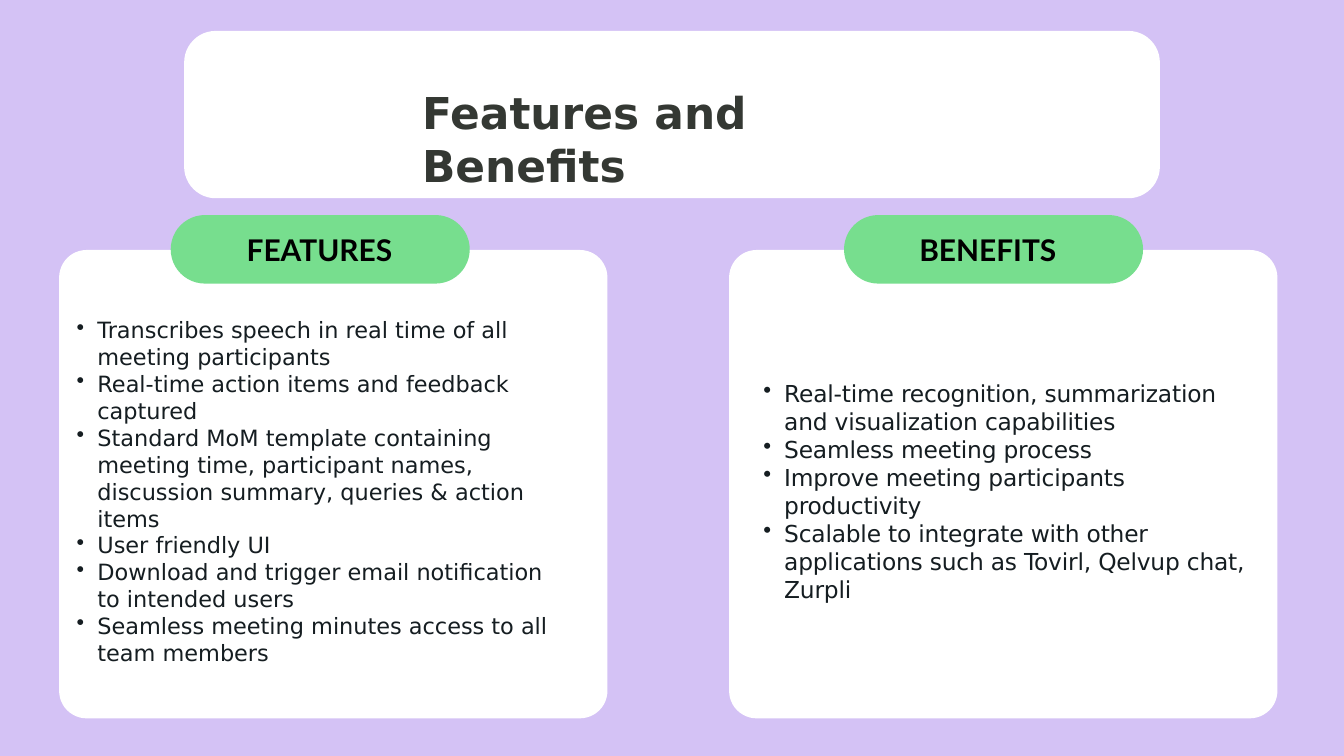
from pptx import Presentation
from pptx.dml.color import RGBColor
from pptx.enum import shapes, text
from pptx.oxml import parse_xml
from pptx.oxml.ns import nsdecls
from pptx.util import Inches, Pt

SANS, LATO = "DejaVu Sans", "Lato"
LILAC, WHITE, GREEN = "D4C2F5", "FFFFFF", "77DE8E"
DARK, INK, BLACK = "343833", "151D21", "000000"

FEATURES = [
    "Transcribes speech in real time of all meeting participants",
    "Real-time action items and feedback captured",
    "Standard MoM template containing meeting time, participant names, "
    "discussion summary, queries & action items",
    "User friendly UI",
    "Download and trigger email notification to intended users",
    "Seamless meeting minutes access to all team members",
]
BENEFITS = [
    "Real-time recognition, summarization and visualization capabilities",
    "Seamless meeting process",
    "Improve meeting participants productivity",
    "Scalable to integrate with other applications such as "
    "Tovirl, Qelvup chat, Zurpli",
]


def paint(fill, color):
    fill.solid()
    fill.fore_color.rgb = RGBColor.from_string(color)


def add_card(slide, left, top, width, height, radius, color):
    card = slide.shapes.add_shape(
        shapes.MSO_SHAPE.ROUNDED_RECTANGLE,
        Inches(left), Inches(top), Inches(width), Inches(height))
    card.adjustments[0] = radius / min(width, height)
    card.shadow.inherit = False
    card.line.fill.background()
    paint(card.fill, color)


def add_text(slide, left, top, width, height, lines, size, font, color,
             bold=False, space=0, bullet=False):
    box = slide.shapes.add_textbox(
        Inches(left), Inches(top), Inches(width), Inches(height))
    frame = box.text_frame
    frame.word_wrap = True
    frame.vertical_anchor = text.MSO_ANCHOR.TOP
    frame.margin_left = frame.margin_right = 0
    frame.margin_top = frame.margin_bottom = 0
    frame.text = "\n".join(lines)
    for para in frame.paragraphs:
        para.font.size = Pt(size)
        para.font.name = font
        para.font.bold = bold
        para.font.color.rgb = RGBColor.from_string(color)
        if space:
            # Letter spacing, in hundredths of a point
            for run in para.runs:
                run.font._element.set("spc", str(int(space * 100)))
        if bullet:
            add_bullet(para)


def add_bullet(para):
    props = para._p.get_or_add_pPr()
    props.set("marL", str(Inches(0.31)))
    props.set("indent", str(-Inches(0.31)))
    mark = parse_xml(f'<a:buChar {nsdecls("a")} char="•"/>')
    props.insert_element_before(mark, "a:tabLst", "a:defRPr", "a:extLst")


def main():
    deck = Presentation()
    deck.slide_width, deck.slide_height = Inches(20), Inches(11.25)
    slide = deck.slides.add_slide(deck.slide_layouts[6])
    paint(slide.background.fill, LILAC)

    # Title
    add_card(slide, 2.74, 0.46, 14.52, 2.49, 0.47, WHITE)
    add_text(slide, 6.28, 1.28, 7.42, 1.6, ["Features and Benefits"],
             47, SANS, DARK, bold=True)

    # Panels with their headings: panel left, pill left, heading left
    for panel, pill, left, head in [(0.88, 2.54, 3.67, "FEATURES"),
                                    (10.85, 12.56, 13.68, "BENEFITS")]:
        add_card(slide, panel, 3.72, 8.16, 6.97, 0.41, WHITE)
        add_card(slide, pill, 3.2, 4.45, 1.02, 0.51, GREEN)
        add_text(slide, left, 3.45, 2.65, 0.55, [head],
                 32, LATO, BLACK, bold=True)

    # Bullet lists
    add_text(slide, 1.14, 4.71, 7.2, 5.3, FEATURES, 24, SANS, INK,
             bullet=True)
    add_text(slide, 11.36, 5.64, 7.41, 3.51, BENEFITS, 25, SANS, INK,
             space=-0.2, bullet=True)

    deck.save("out.pptx")


if __name__ == "__main__":
    main()
